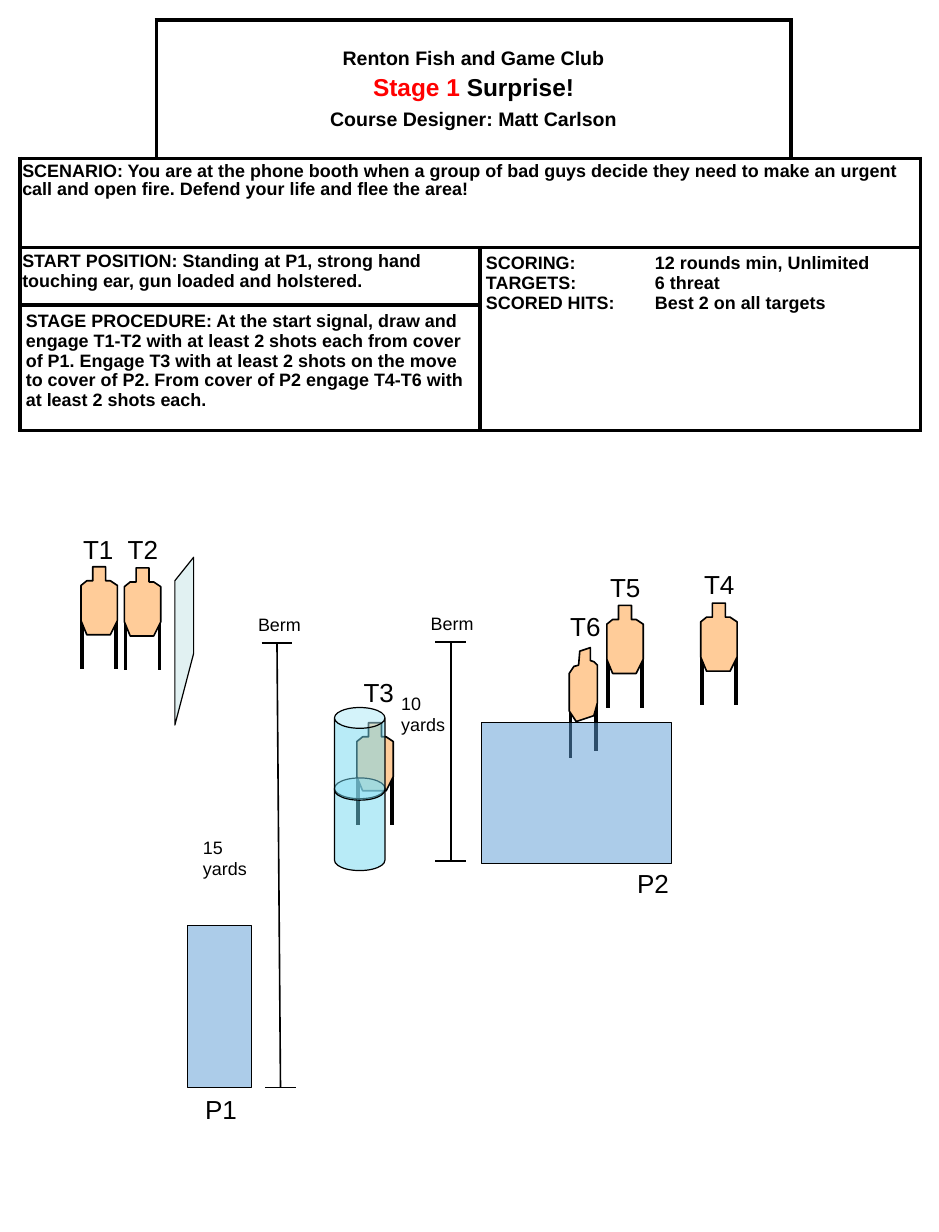
from dataclasses import dataclass

from lxml.etree import SubElement
from pptx import Presentation
from pptx.dml.color import RGBColor
from pptx.enum.shapes import MSO_CONNECTOR as Connector, MSO_SHAPE as Preset
from pptx.enum.text import MSO_ANCHOR as Anchor, MSO_AUTO_SIZE as AutoSize, PP_ALIGN as Align
from pptx.oxml.ns import qn
from pptx.util import Inches, Pt


@dataclass(frozen=True)
class Theme:
    font: str = "Arial"
    black: str = "000000"
    white: str = "FFFFFF"
    red: str = "FF0000"
    cardboard: str = "FFCC99"
    cover: str = "5B9BD5"
    wall: str = "BBE0E3"
    barrel: str = "73D9F1"
    title_size: float = 15
    heading_size: float = 12
    body_size: float = 11
    marker_size: float = 16
    thin: float = 0.75
    medium: float = 1
    thick: float = 2.25


THEME = Theme()

# Outline and legs (x, top, bottom), measured from the target's top left corner
FACING = (
    [(0.1, 0), (0.21, 0), (0.21, 0.12), (0.25, 0.12), (0.31, 0.16), (0.31, 0.46),
     (0.25, 0.58), (0.05, 0.58), (0, 0.46), (0, 0.16), (0.05, 0.12), (0.1, 0.12)],
    [(0.01, 0.43, 0.87), (0.3, 0.43, 0.87)],
)
ANGLED = (
    [(0.09, 0.03), (0.18, 0), (0.18, 0.11), (0.21, 0.12), (0.24, 0.15), (0.24, 0.47),
     (0.21, 0.58), (0.06, 0.63), (0, 0.54), (0, 0.22), (0.04, 0.16), (0.08, 0.15)],
    [(0.01, 0.51, 0.94), (0.23, 0.44, 0.88)],
)


def write(paragraph, text, size=THEME.body_size, bold=False, color=THEME.black,
          align=None, before=None, spacing=None, tab=None):
    """Append a formatted run; the paragraph options apply only when given."""
    if tab is not None:
        stops = SubElement(paragraph._p.get_or_add_pPr(), qn("a:tabLst"))
        SubElement(stops, qn("a:tab"), pos=str(Inches(tab)), algn="l")
    if align is not None:
        paragraph.alignment = align
    if before is not None:
        paragraph.space_before = Pt(before)
    if spacing is not None:
        paragraph.line_spacing = spacing
    run = paragraph.add_run()
    run.text = text
    run.font.name = THEME.font
    run.font.size = Pt(size)
    run.font.bold = bold
    run.font.color.rgb = RGBColor.from_string(color)


class StageSlide:
    def __init__(self, slide, theme):
        self.slide = slide
        self.theme = theme

    def group(self):
        return self.slide.shapes.add_group_shape().shapes

    def line(self, x1, y1, x2, y2, width, shapes=None):
        connector = (shapes or self.slide.shapes).add_connector(
            Connector.STRAIGHT, *map(Inches, (x1, y1, x2, y2)))
        connector.line.color.rgb = RGBColor.from_string(self.theme.black)
        connector.line.width = Pt(width)
        SubElement(connector._element.spPr, qn("a:effectLst"))

    def paint(self, shape, color, width, opacity=100):
        shape.shadow.inherit = False
        shape.fill.solid()
        shape.fill.fore_color.rgb = RGBColor.from_string(color)
        shape.line.color.rgb = RGBColor.from_string(self.theme.black)
        shape.line.width = Pt(width)
        if opacity < 100:
            color_element = shape._element.spPr.find(qn("a:solidFill"))[0]
            SubElement(color_element, qn("a:alpha"), val=str(opacity * 1000))

    def preset(self, kind, x, y, width, height, color, opacity, shapes=None):
        shape = (shapes or self.slide.shapes).add_shape(
            kind, *map(Inches, (x, y, width, height)))
        self.paint(shape, color, self.theme.thin, opacity)
        return shape

    def polygon(self, points, color, width, opacity=100, shapes=None):
        corners = [(Inches(x), Inches(y)) for x, y in points]
        builder = (shapes or self.slide.shapes).build_freeform(*corners[0])
        builder.add_line_segments(corners[1:], close=True)
        self.paint(builder.convert_to_shape(), color, width, opacity)

    def label(self, text, x, y, width, height, size, wrap=True):
        box = self.slide.shapes.add_textbox(*map(Inches, (x, y, width, height)))
        box.text_frame.word_wrap = wrap
        box.text_frame.auto_size = AutoSize.SHAPE_TO_FIT_TEXT
        write(box.text_frame.paragraphs[0], text, size=size)

    def marker(self, text, x, y, width=0.46):
        self.label(text, x, y, width, 0.37, self.theme.marker_size, wrap=False)

    def target(self, name, x, y, label_dx=-0.07, label_dy=-0.34, pose=FACING):
        outline, legs = pose
        shapes = self.group()
        for leg_x, top, bottom in legs:
            self.line(x + leg_x, y + top, x + leg_x, y + bottom, self.theme.thick, shapes)
        self.polygon([(x + dx, y + dy) for dx, dy in outline],
                     self.theme.cardboard, self.theme.medium, shapes=shapes)
        self.marker(name, x + label_dx, y + label_dy)

    def barrels(self, x, y, width, height, step):
        """Stack two cans, the lower one drawn first."""
        shapes = self.group()
        for top in (y + step, y):
            can = self.preset(Preset.CAN, x, top, width, height, self.theme.barrel, 50, shapes)
            can.adjustments[0] = 0.413

    def distance(self, text, text_at, top, bottom, berm_at):
        """Draw a measure between two end bars centred on top and bottom."""
        for x, y in (top, bottom):
            self.line(x - 0.13, y, x + 0.13, y, self.theme.medium)
        self.line(*bottom, *top, self.theme.medium)
        self.label(text, *text_at, 0.65, 0.47, self.theme.body_size)
        self.label("Berm", *berm_at, 0.65, 0.29, self.theme.body_size)

    def border(self, cell, sides):
        properties = cell._tc.get_or_add_tcPr()
        for side in sides:
            line = SubElement(properties, qn(f"a:ln{side}"), w=str(Pt(self.theme.thick)))
            fill = SubElement(line, qn("a:solidFill"))
            SubElement(fill, qn("a:srgbClr"), val=self.theme.black)

    def grid(self, x, y, columns, rows, merges, open_cells):
        frame = self.slide.shapes.add_table(
            len(rows), len(columns), *map(Inches, (x, y, sum(columns), sum(rows))))
        table = frame.table
        table.first_row = table.horz_banding = False
        for column, width in zip(table.columns, columns):
            column.width = Inches(width)
        for row, height in zip(table.rows, rows):
            row.height = Inches(height)
        for r in range(len(rows)):
            for c in range(len(columns)):
                cell = table.cell(r, c)
                self.border(cell, open_cells.get((r, c), "LRTB"))
                cell.fill.solid()
                cell.fill.fore_color.rgb = RGBColor.from_string(self.theme.white)
        for first, last in merges:
            table.cell(*first).merge(table.cell(*last))
        return table

    def fill_cell(self, cell, paragraphs, side=0.05, edge=0.05, anchor=Anchor.TOP, **style):
        """Write paragraphs, each a list of (text, options) runs."""
        cell.margin_left = cell.margin_right = Inches(side)
        cell.margin_top = cell.margin_bottom = Inches(edge)
        cell.vertical_anchor = anchor
        for index, runs in enumerate(paragraphs):
            frame = cell.text_frame
            paragraph = frame.add_paragraph() if index else frame.paragraphs[0]
            for text, options in runs:
                write(paragraph, text, bold=True, **{**style, **options})


def add_briefing(stage):
    theme = stage.theme
    table = stage.grid(
        0.17, 0.17, [1.16, 2.76, 2.65, 1.1], [1.18, 0.76, 0.49, 1.07],
        merges=[((0, 1), (0, 2)), ((1, 0), (1, 3)), ((2, 0), (2, 1)),
                ((2, 2), (3, 3)), ((3, 0), (3, 1))],
        open_cells={(0, 0): "RB", (0, 3): "LB"})
    stage.fill_cell(table.cell(0, 1), [
        [("Renton Fish and Game Club", {})],
        [("Stage 1", {"size": theme.title_size, "color": theme.red, "before": 3}),
         (" Surprise!", {"size": theme.title_size})],
        [("Course Designer: Matt Carlson", {"before": 4})],
    ], anchor=Anchor.MIDDLE, size=theme.heading_size, align=Align.CENTER)
    stage.fill_cell(table.cell(1, 0), [[(
        "SCENARIO: You are at the phone booth when a group of bad guys decide they need to make "
        "an urgent call and open fire. Defend your life and flee the area!", {})]],
        side=0.02, edge=0.04, spacing=0.9)
    stage.fill_cell(table.cell(2, 0), [[(
        "START POSITION: Standing at P1, strong hand touching ear, gun loaded and holstered.",
        {})]], side=0.02, edge=0.03)
    stage.fill_cell(table.cell(2, 2), [[(text, {})] for text in (
        "SCORING:\t12 rounds min, Unlimited", "TARGETS:\t6 threat",
        "SCORED HITS:\tBest 2 on all targets")], tab=1.44)
    stage.fill_cell(table.cell(3, 0), [[(
        "STAGE PROCEDURE: At the start signal, draw and engage T1-T2 with at least 2 shots each "
        "from cover of P1. Engage T3 with at least 2 shots on the move to cover of P2. From cover "
        "of P2 engage T4-T6 with at least 2 shots each.", {})]])


def add_course(stage):
    theme = stage.theme
    stage.target("T6", 4.85, 5.52, -0.09, -0.37, ANGLED)
    stage.target("T1", 0.69, 4.83, -0.08, -0.33)
    stage.target("T2", 1.06, 4.84)
    stage.preset(Preset.RECTANGLE, 1.6, 7.89, 0.54, 1.38, theme.cover, 50)
    stage.marker("P1", 1.65, 9.27, 0.53)
    stage.polygon([(1.65, 5.57), (1.49, 6.18), (1.49, 4.95), (1.65, 4.75)],
                  theme.wall, theme.thin, 44)
    stage.target("T4", 5.97, 5.14)
    stage.distance("15 yards", (1.63, 7.08), (2.36, 5.48), (2.39, 9.27), (2.1, 5.18))
    stage.target("T3", 3.04, 6.16, -0.04, -0.44)
    stage.barrels(2.85, 6.03, 0.43, 0.79, step=0.6)
    stage.preset(Preset.RECTANGLE, 4.1, 6.16, 1.62, 1.2, theme.cover, 50)
    stage.marker("P2", 5.33, 7.34, 0.53)
    stage.target("T5", 5.17, 5.16)
    stage.distance("10 yards", (3.32, 5.85), (3.84, 5.47), (3.84, 7.34), (3.57, 5.17))


def main():
    presentation = Presentation()
    presentation.slide_width, presentation.slide_height = Inches(8), Inches(10.5)
    stage = StageSlide(presentation.slides.add_slide(presentation.slide_layouts[6]), THEME)
    add_course(stage)
    add_briefing(stage)
    presentation.save("out.pptx")


if __name__ == "__main__":
    main()
